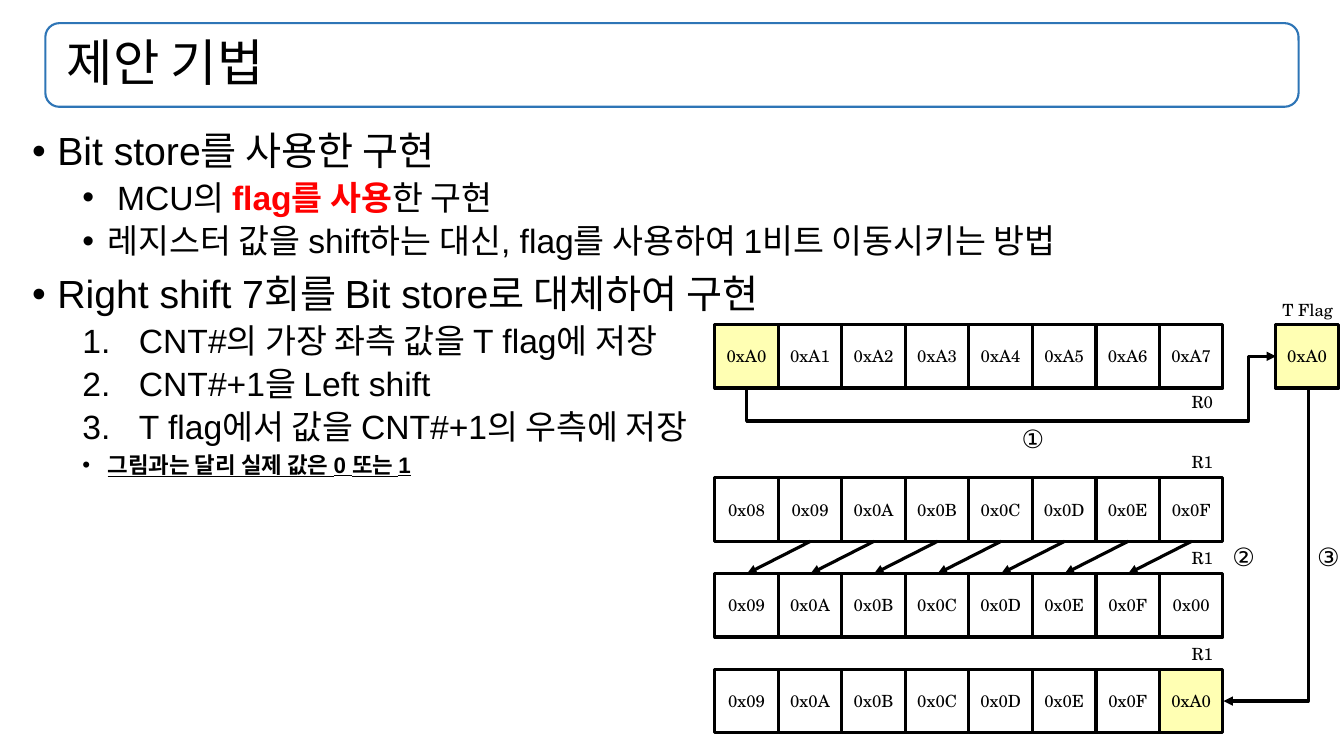
from dataclasses import dataclass

from lxml.etree import SubElement
from pptx import Presentation
from pptx.dml.color import RGBColor
from pptx.enum.shapes import MSO_CONNECTOR, MSO_SHAPE
from pptx.enum.text import MSO_ANCHOR, MSO_AUTO_SIZE, PP_ALIGN
from pptx.oxml.ns import qn
from pptx.util import Emu, Pt

EMU_PER_PX = 9144  # 100 px to the inch


@dataclass(frozen=True)
class Theme:
    black: str = "000000"
    red: str = "FF0000"
    frame: str = "2E75B6"
    highlight: str = "FFFFB3"
    body_font: str = "Arial"
    diagram_font: str = "TeX Gyre Schola"
    title_size: int = 36
    topic_size: int = 28
    detail_size: int = 24
    note_size: int = 16
    step_size: int = 18
    cell_size: int = 12
    frame_width: float = 1.5
    diagram_width: float = 2.25


def px(value):
    return Emu(value * EMU_PER_PX)


def write(paragraph, text, *, font, size, color, bold=False, underline=False):
    run = paragraph.add_run()
    run.text = text
    run.font.name = font
    run.font.size = Pt(size)
    run.font.color.rgb = RGBColor.from_string(color)
    run.font.bold = bold
    run.font.underline = underline


class SlideBuilder:
    def __init__(self, slide, theme):
        self.slide = slide
        self.theme = theme

    def stroke(self, line, color, width):
        line.color.rgb = RGBColor.from_string(color)
        line.width = Pt(width)

    def title(self, text, left, top, width, height):
        """Place the title and the rounded frame behind it."""
        theme, box = self.theme, [px(v) for v in (left, top, width, height)]
        title = self.slide.shapes.title
        title.left, title.top, title.width, title.height = box
        text_frame = title.text_frame
        text_frame.auto_size = MSO_AUTO_SIZE.NONE
        text_frame.vertical_anchor = MSO_ANCHOR.MIDDLE
        paragraph = text_frame.paragraphs[0]
        paragraph.alignment = PP_ALIGN.LEFT
        paragraph.line_spacing = 0.9
        write(paragraph, text, font=theme.body_font, size=theme.title_size, color=theme.black)

        frame = self.slide.shapes.add_shape(MSO_SHAPE.ROUNDED_RECTANGLE, *box)
        frame.shadow.inherit = False
        frame.fill.background()
        self.stroke(frame.line, theme.frame, theme.frame_width)
        title.element.addprevious(frame.element)

    def text_box(self, left, top, width, height):
        shape = self.slide.shapes.add_textbox(px(left), px(top), px(width), px(height))
        shape.text_frame.word_wrap = True
        return shape.text_frame

    def list_item(self, paragraph, runs, *, level, margin, hanging, numbered=False,
                  space_before=0, **text_format):
        """Write a list paragraph from (text, extra format) pairs."""
        paragraph.level = level
        properties = paragraph._p.get_or_add_pPr()
        properties.set("marL", str(px(margin)))
        properties.set("indent", str(-px(hanging)))
        SubElement(properties, qn("a:buFont"), typeface=self.theme.body_font)
        if numbered:
            SubElement(properties, qn("a:buAutoNum"), type="arabicPeriod")
        else:
            SubElement(properties, qn("a:buChar"), char="•")
        paragraph.line_spacing = 0.9
        paragraph.space_before = Pt(space_before)
        for text, extra in runs:
            write(paragraph, text, **{"font": self.theme.body_font,
                                      "color": self.theme.black, **text_format, **extra})

    def label(self, text, left, top, width, height, *, alignment=PP_ALIGN.CENTER, size=None):
        text_frame = self.text_box(left, top, width, height)
        text_frame.vertical_anchor = MSO_ANCHOR.MIDDLE
        paragraph = text_frame.paragraphs[0]
        paragraph.alignment = alignment
        write(paragraph, text, font=self.theme.diagram_font,
              size=size or self.theme.cell_size, color=self.theme.black)

    def cell(self, text, left, top, side, *, highlighted=False):
        theme = self.theme
        shape = self.slide.shapes.add_shape(
            MSO_SHAPE.RECTANGLE, px(left), px(top), px(side), px(side))
        shape.shadow.inherit = False
        if highlighted:
            shape.fill.solid()
            shape.fill.fore_color.rgb = RGBColor.from_string(theme.highlight)
        else:
            shape.fill.background()
        self.stroke(shape.line, theme.black, theme.diagram_width)
        text_frame = shape.text_frame
        text_frame.margin_left = text_frame.margin_right = 0
        text_frame.vertical_anchor = MSO_ANCHOR.MIDDLE
        paragraph = text_frame.paragraphs[0]
        paragraph.alignment = PP_ALIGN.CENTER
        write(paragraph, text, font=theme.diagram_font, size=theme.cell_size, color=theme.black)

    def arrow(self, start, end, kind=MSO_CONNECTOR.STRAIGHT):
        connector = self.slide.shapes.add_connector(kind, *[px(v) for v in (*start, *end)])
        self.stroke(connector.line, self.theme.black, self.theme.diagram_width)
        SubElement(connector.line._get_or_add_ln(), qn("a:tailEnd"), type="triangle")
        SubElement(connector._element.spPr, qn("a:effectLst"))
        return connector

    def turned_elbow(self, start, end, preset, adjustments=()):
        """Draw an elbow arrow given before its quarter turn about its centre."""
        properties = self.arrow(start, end, MSO_CONNECTOR.ELBOW)._element.spPr
        properties.find(qn("a:xfrm")).set("rot", str(90 * 60000))
        geometry = properties.find(qn("a:prstGeom"))
        geometry.set("prst", preset)
        guides = geometry.find(qn("a:avLst"))
        if guides is None:
            guides = SubElement(geometry, qn("a:avLst"))
        for number, value in enumerate(adjustments, 1):
            SubElement(guides, qn("a:gd"), name=f"adj{number}", fmla=f"val {value}")


def add_explanation(builder):
    theme = builder.theme
    topic = dict(level=0, margin=25, hanging=25, space_before=10, size=theme.topic_size)
    detail = dict(level=1, margin=75, hanging=25, space_before=5, size=theme.detail_size)
    step = {**detail, "margin": 106, "hanging": 56, "numbered": True}
    note = {**detail, "size": theme.note_size, "bold": True, "underline": True}
    items = [
        ([("Bit store를 사용한 구현", {})], {**topic, "space_before": 0}),
        ([(" MCU의 ", {}), ("flag를 사용", {"color": theme.red, "bold": True}),
          ("한 구현", {})], detail),
        ([("레지스터 값을 shift하는 대신, flag를 사용하여 1비트 이동시키는 방법", {})], detail),
        ([("Right shift 7회를 Bit store로 대체하여 구현", {})], topic),
        ([("CNT#의 가장 좌측 값을 T flag에 저장", {})], step),
        ([("CNT#+1을 Left shift", {})], step),
        ([("T flag에서 값을 CNT#+1의 우측에 저장", {})], step),
        ([("그림과는 달리 실제 값은 0 또는 1", {})], note),
    ]
    text_frame = builder.text_box(22, 126, 1267, 553)
    for index, (runs, item_format) in enumerate(items):
        paragraph = text_frame.add_paragraph() if index else text_frame.paragraphs[0]
        builder.list_item(paragraph, runs, **item_format)


def add_register_diagram(builder):
    side, left = 63, 709
    registers = [  # name, label top, row top, values, highlighted column
        ("R0", 384, 322, [f"0xA{n}" for n in range(8)], 0),
        ("R1", 444, 474, [f"0x{n:02X}" for n in range(8, 16)], None),
        ("R1", 539, 569, [f"0x{n:02X}" for n in range(9, 16)] + ["0x00"], None),
        ("R1", 634, 664, [f"0x{n:02X}" for n in range(9, 16)] + ["0xA0"], 7),
    ]
    for name, label_top, top, values, marked in registers:
        for column, value in enumerate(values):
            builder.cell(value, left + column * side, top, side, highlighted=column == marked)
        builder.label(name, 1071, label_top, 142, 29, alignment=PP_ALIGN.RIGHT)

    builder.cell("0xA0", 1265, 322, side, highlighted=True)
    builder.label("T Flag", 1255, 293, 84, 29)

    for column in range(7):
        target = left + side // 2 + 1 + column * side
        builder.arrow((target + side, 537), (target, 569))
    builder.turned_elbow((1019, 632), (987, 107), "bentConnector4", (-100800, 94800))
    builder.turned_elbow((1100, 498), (1411, 582), "bentConnector2")

    for text, step_left, step_top in (("①", 993, 403), ("②", 1202, 521), ("③", 1286, 521)):
        builder.label(text, step_left, step_top, side, side, size=builder.theme.step_size)


def main():
    presentation = Presentation()
    presentation.slide_width, presentation.slide_height = px(1333), px(750)
    slide = presentation.slides.add_slide(presentation.slide_layouts[5])
    builder = SlideBuilder(slide, Theme())
    builder.title(" 제안 기법", 45, 23, 1243, 83)
    add_explanation(builder)
    add_register_diagram(builder)
    presentation.save("out.pptx")


if __name__ == "__main__":
    main()
